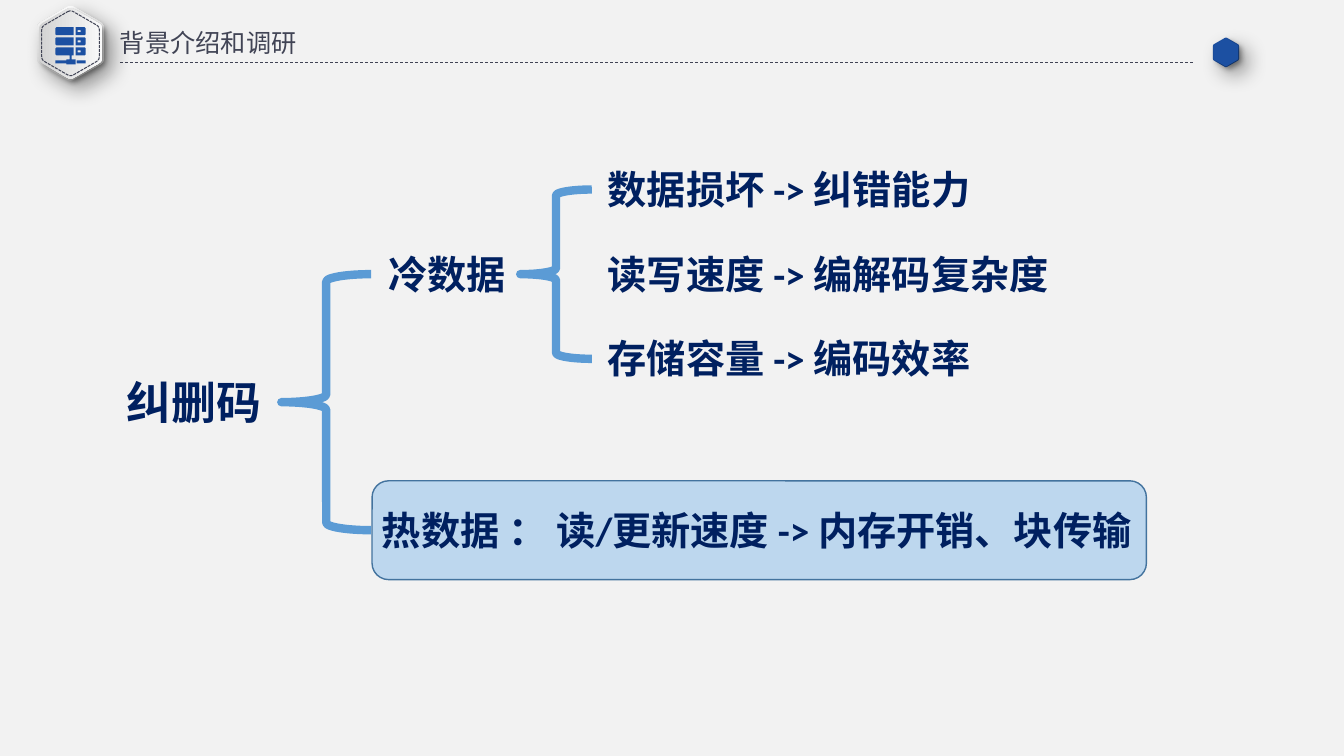
import math
from dataclasses import dataclass

import lxml.etree
import pptx
import pptx.dml.color
import pptx.enum.dml
import pptx.enum.shapes
import pptx.enum.text
import pptx.oxml.ns
import pptx.util

Inches = pptx.util.Inches
Pt = pptx.util.Pt
SHAPE = pptx.enum.shapes.MSO_SHAPE
DASH = pptx.enum.dml.MSO_LINE


@dataclass(frozen=True)
class Theme:
    background: str = "F2F2F2"
    heading: str = "414455"
    body: str = "002060"
    accent: str = "1C50A2"
    brace: str = "5B9BD5"
    panel: str = "BDD7EE"
    panel_edge: str = "43739E"
    badge: tuple = ("D3D3D3", "F9F9F9")
    latin: str = "Calibri"
    chinese: str = "Noto Sans CJK SC"
    heading_size: int = 18
    root_size: int = 32
    branch_size: int = 28


THEME = Theme()


def rgb(value):
    return pptx.dml.color.RGBColor.from_string(value)


def add_element(parent, tag, **values):
    return lxml.etree.SubElement(parent, pptx.oxml.ns.qn(tag), values)


def style_line(line, color, width, dash=None):
    line.color.rgb = rgb(color)
    line.width = Pt(width)
    if dash:
        line.dash_style = dash


def write(shape, text, size, color, font, bold=False):
    frame = shape.text_frame
    frame.word_wrap = True
    span = frame.paragraphs[0].add_run()
    span.text = text
    for name, value in {"name": font, "size": Pt(size), "bold": bold}.items():
        setattr(span.font, name, value)
    span.font.color.rgb = rgb(color)
    add_element(span.font._element, "a:ea", typeface=THEME.chinese)


def add_shadow(shape, blur, distance):
    effects = shape._element.spPr.find(pptx.oxml.ns.qn("a:effectLst"))
    outer = add_element(effects, "a:outerShdw", blurRad=str(Pt(blur)), dist=str(Pt(distance)),
                        dir="2700000", algn="tl", rotWithShape="0")
    color = add_element(outer, "a:srgbClr", val="000000")
    add_element(color, "a:alpha", val="40000")


def draw_outlines(slide, outlines):
    """Draw closed polygons, given in inches, as one shape."""
    outlines = [[(Inches(x), Inches(y)) for x, y in outline] for outline in outlines]
    builder = slide.shapes.build_freeform(*outlines[0][0])
    for index, outline in enumerate(outlines):
        if index:
            builder.move_to(*outline[0])
        builder.add_line_segments(outline[1:], close=True)
    shape = builder.convert_to_shape()
    shape.shadow.inherit = False
    return shape


def add_hexagon(slide, center, radius, rounding=0.1):
    """Draw an upright hexagon whose corners are quadratic curves."""
    angles = [math.radians(60 * k - 90) for k in range(6)]
    corners = [(center[0] + radius * math.cos(a), center[1] + radius * math.sin(a))
               for a in angles]
    points = []
    for k, corner in enumerate(corners):
        before, after = corners[k - 1], corners[(k + 1) % 6]
        for t in (0, 0.25, 0.5, 0.75, 1):
            back, ahead = rounding * (1 - t) ** 2, rounding * t ** 2
            points.append(tuple(c + back * (b - c) + ahead * (a - c)
                                for c, b, a in zip(corner, before, after)))
    return draw_outlines(slide, [points])


def rectangle(left, top, right, bottom, cut_left=0, cut_right=0):
    """Return a rectangle with the corners of either side cut off."""
    return [(left + cut_left, top), (right - cut_right, top),
            (right, top + cut_right), (right, bottom - cut_right),
            (right - cut_right, bottom), (left + cut_left, bottom),
            (left, bottom - cut_left), (left, top + cut_left)]


def add_server_icon(slide, left, top):
    parts = []
    for row in range(3):
        y = top + 0.1 * row
        parts += [rectangle(left, y, left + 0.18, y + 0.08, cut_left=0.01),
                  rectangle(left + 0.2, y, left + 0.3, y + 0.08, cut_right=0.01),
                  rectangle(left + 0.22, y + 0.03, left + 0.25, y + 0.05)]
    # Stem and network line
    for x1, y1, x2, y2 in ((0.14, 0.28, 0.16, 0.32), (0, 0.33, 0.11, 0.36),
                           (0.11, 0.32, 0.2, 0.37), (0.21, 0.33, 0.3, 0.36)):
        parts.append(rectangle(left + x1, top + y1, left + x2, top + y2))
    icon = draw_outlines(slide, parts)
    icon.fill.solid()
    icon.fill.fore_color.rgb = rgb(THEME.accent)
    icon.line.fill.background()


def add_badge(slide, center):
    for radius, angle, shadow in ((0.38, 90, (15, 9)), (0.36, 0, (4, 3))):
        plate = add_hexagon(slide, center, radius)
        plate.fill.gradient()
        plate.fill.gradient_angle = angle
        for stop, color in zip(plate.fill.gradient_stops, THEME.badge):
            stop.color.rgb = rgb(color)
        plate.line.fill.background()
        add_shadow(plate, *shadow)
    stitch = add_hexagon(slide, center, 0.33)
    stitch.fill.background()
    style_line(stitch.line, THEME.heading, 0.75, DASH.SQUARE_DOT)
    add_server_icon(slide, center[0] - 0.15, center[1] - 0.16)


def add_marker(slide, center):
    for radius, shadow in ((0.15, (15, 9)), (0.14, (4, 3))):
        plate = add_hexagon(slide, center, radius)
        plate.fill.solid()
        plate.fill.fore_color.rgb = rgb(THEME.accent)
        plate.line.fill.background()
        add_shadow(plate, *shadow)


def add_header(slide, left, top, width):
    # Title
    title = slide.shapes.title
    place = {"left": left + 0.79, "top": top + 0.13, "width": 2.05, "height": 0.38}
    for name, value in place.items():
        setattr(title, name, Inches(value))
    frame = title.text_frame
    margins = {"margin_left": 0.07, "margin_right": 0.07,
               "margin_top": 0.04, "margin_bottom": 0.04}
    for name, value in margins.items():
        setattr(frame, name, Inches(value))
    frame.auto_size = pptx.enum.text.MSO_AUTO_SIZE.NONE
    frame.vertical_anchor = pptx.enum.text.MSO_ANCHOR.TOP
    frame.paragraphs[0].alignment = pptx.enum.text.PP_ALIGN.LEFT
    write(title, "背景介绍和调研", THEME.heading_size, THEME.heading, THEME.chinese)
    # Dashed rule
    rule = slide.shapes.add_connector(
        pptx.enum.shapes.MSO_CONNECTOR.STRAIGHT, Inches(left + 0.86), Inches(top + 0.52),
        Inches(left + width - 0.47), Inches(top + 0.52))
    style_line(rule.line, THEME.heading, 0.5, DASH.DASH)
    add_element(rule._element.spPr, "a:effectLst")
    # Hexagons at both ends
    add_badge(slide, (left + 0.37, top + 0.33))
    add_marker(slide, (left + width - 0.14, top + 0.42))


def add_label(slide, text, left, top, width, height=0.57, size=THEME.branch_size):
    label = slide.shapes.add_textbox(*map(Inches, (left, top, width, height)))
    write(label, text, size, THEME.body, THEME.latin, bold=True)


def add_brace(slide, left, top, width, height):
    brace = slide.shapes.add_shape(SHAPE.LEFT_BRACE, *map(Inches, (left, top, width, height)))
    brace.shadow.inherit = False
    brace.fill.background()
    style_line(brace.line, THEME.brace, 6)


def add_tree(slide, left, top):
    # Highlighted hot-data panel
    panel = slide.shapes.add_shape(
        SHAPE.ROUNDED_RECTANGLE, *map(Inches, (left + 2.53, top + 3.18, 7.68, 0.98)))
    panel.shadow.inherit = False
    panel.fill.solid()
    panel.fill.fore_color.rgb = rgb(THEME.panel)
    style_line(panel.line, THEME.panel_edge, 1)
    # Root and its two branches
    add_label(slide, "纠删码", left, top + 2.08, 1.64, 0.64, THEME.root_size)
    add_brace(slide, left + 1.63, top + 1.13, 0.89, 2.54)
    add_label(slide, "冷数据", left + 2.59, top + 0.84, 1.42)
    add_label(slide, "热数据 ： 读/更新速度 -> 内存开销、块传输", left + 2.53, top + 3.38, 8.05)
    # Cold-data leaves
    add_brace(slide, left + 4, top + 0.29, 0.71, 1.68)
    leaves = ("数据损坏 -> 纠错能力", "读写速度 -> 编解码复杂度", "存储容量 -> 编码效率")
    for row, text in enumerate(leaves):
        add_label(slide, text, left + 4.77, top + 0.84 * row, 5.64)


def main():
    deck = pptx.Presentation()
    deck.slide_width, deck.slide_height = Inches(13.33), Inches(7.5)
    slide = deck.slides.add_slide(deck.slide_layouts[5])
    slide.background.fill.solid()
    slide.background.fill.fore_color.rgb = rgb(THEME.background)
    add_header(slide, 0.33, 0.1, 11.97)
    add_tree(slide, 1.16, 1.59)
    deck.save("out.pptx")


if __name__ == "__main__":
    main()
